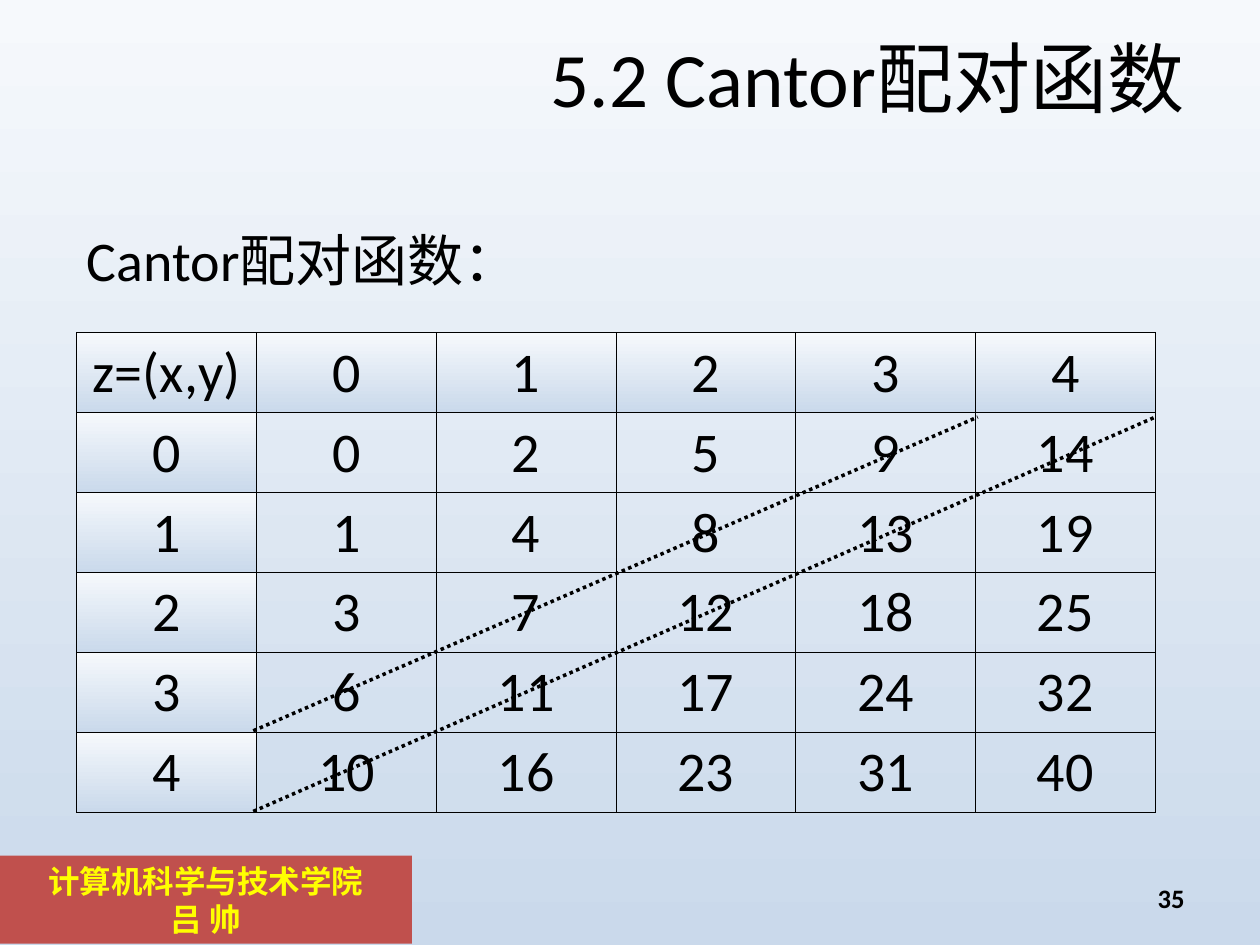
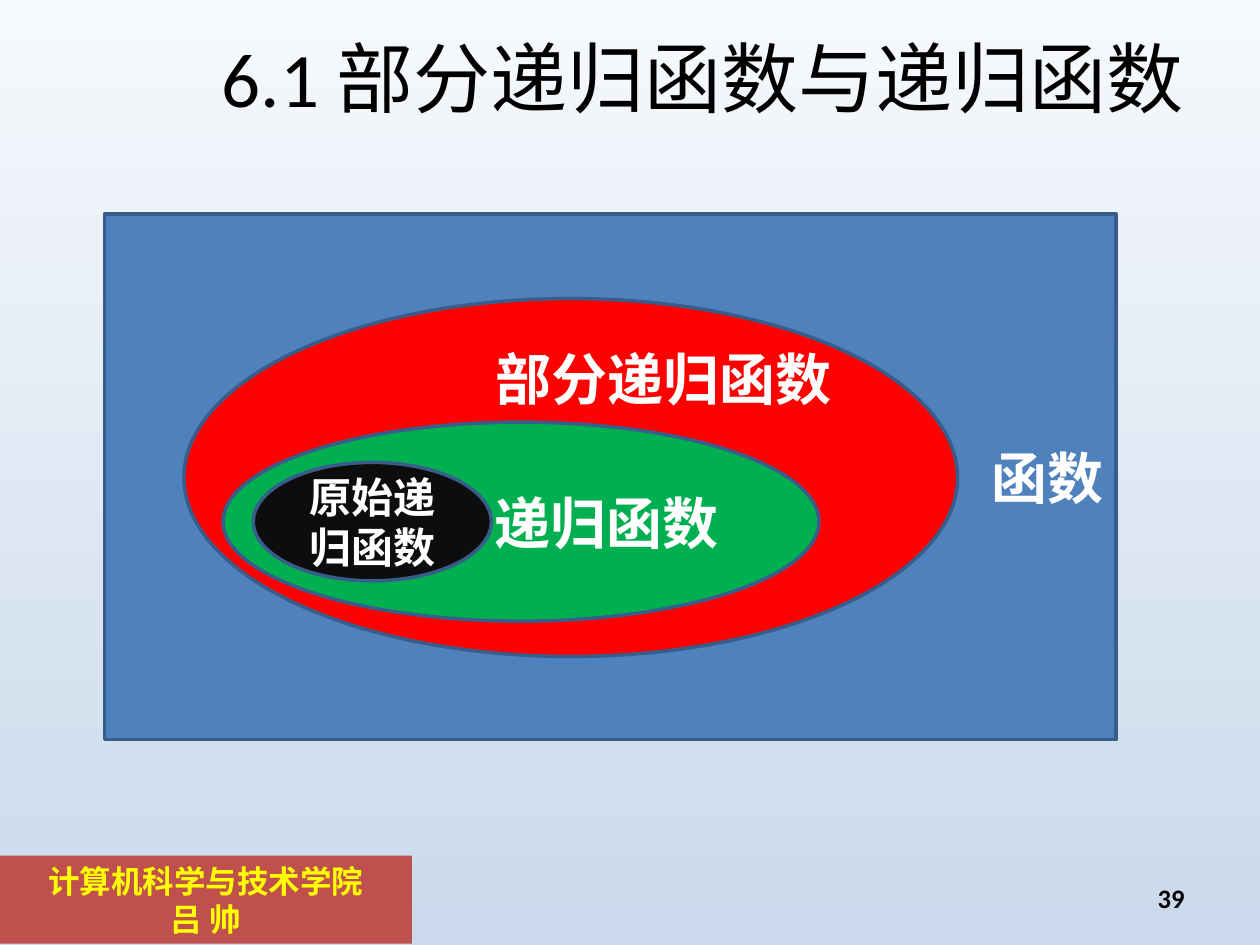
from lxml import etree
from pptx import Presentation
from pptx import util as u
from pptx.dml.color import RGBColor
from pptx.enum import dml, shapes, text
from pptx.oxml.ns import qn

COLOURS = {
    "pale": "F6F9FC", "sky": "CAD9EB", "band": "C0504D", "yellow": "FFFF00",
    "black": "000000", "white": "FFFFFF", "outline": "385D8A", "blue": "4F81BD",
    "red": "FF0000", "green": "00B050", "ink": "0D0D0D",
}
ALIGN, ANCHOR, SHAPE = text.PP_ALIGN, text.MSO_ANCHOR, shapes.MSO_SHAPE

# Text styles
TITLE = {"size": 44, "align": ALIGN.RIGHT}
BODY = {"size": 32}
CELL = {"size": 32, "align": ALIGN.CENTER}
NUMBER = {"size": 15.2, "bold": True, "align": ALIGN.RIGHT, "line_spacing": 0.8}
BAND = {"size": 18, "bold": True, "align": ALIGN.CENTER, "name": "Arial", "colour": "yellow"}
SET_LABEL = {"size": 32, "bold": True, "align": ALIGN.RIGHT, "colour": "white"}
CORE_LABEL = {**SET_LABEL, "size": 24, "align": ALIGN.CENTER}


def colour(name):
    return RGBColor.from_string(COLOURS[name])


def fill_gradient(fill):
    fill.gradient()
    fill.gradient_angle = 270
    for stop, name in zip(fill.gradient_stops, ("pale", "sky")):
        stop.color.rgb = colour(name)


def write(frame, lines, style, **frame_format):
    """Fill a text frame with one paragraph per line."""
    for key, value in {"word_wrap": True, **frame_format}.items():
        setattr(frame, key, value)
    for index, line in enumerate(lines):
        para = frame.paragraphs[0] if index == 0 else frame.add_paragraph()
        para.alignment = style.get("align", ALIGN.LEFT)
        para.line_spacing = style.get("line_spacing")
        span = para.add_run()
        span.text = line
        font = {"name": style.get("name", "Calibri"), "size": u.Pt(style["size"]),
                "bold": style.get("bold", False)}
        for key, value in font.items():
            setattr(span.font, key, value)
        span.font.color.rgb = colour(style.get("colour", "black"))


def add_text(page, place, line, style, anchor=ANCHOR.MIDDLE):
    box = page.shapes.add_textbox(*map(u.Inches, place))
    write(box.text_frame, [line], style, vertical_anchor=anchor)


def add_figure(page, kind, place, fill, lines, style, outline=None, **frame_format):
    figure = page.shapes.add_shape(kind, *map(u.Inches, place))
    figure.shadow.inherit = False
    figure.fill.solid()
    figure.fill.fore_color.rgb = colour(fill)
    if outline:
        figure.line.color.rgb = colour(outline)
        figure.line.width = u.Pt(2)
    else:
        figure.line.fill.background()
    write(figure.text_frame, lines, style, **frame_format)


def add_dotted_line(page, start, end):
    line = page.shapes.add_connector(shapes.MSO_CONNECTOR.STRAIGHT,
                                     *map(u.Inches, start + end))
    line.line.color.rgb = colour("black")
    line.line.width = u.Pt(2)
    line.line.dash_style = dml.MSO_LINE.ROUND_DOT
    etree.SubElement(line._element.spPr, qn("a:effectLst"))


def add_borders(cell):
    properties = cell._tc.get_or_add_tcPr()
    for side in ("lnL", "lnR", "lnT", "lnB"):
        border = etree.SubElement(properties, qn(f"a:{side}"), w=str(u.Pt(0.45)))
        solid = etree.SubElement(border, qn("a:solidFill"))
        etree.SubElement(solid, qn("a:srgbClr"), val=COLOURS["black"])


def add_grid(page, place, rows):
    """Table whose first row and first column are shaded headers."""
    table = page.shapes.add_table(len(rows), len(rows[0]), *map(u.Inches, place)).table
    table.first_row = table.horz_banding = False
    for r, row in enumerate(rows):
        for c, value in enumerate(row):
            cell = table.cell(r, c)
            add_borders(cell)
            if r == 0 or c == 0:
                fill_gradient(cell.fill)
            else:
                cell.fill.background()
            write(cell.text_frame, [str(value)], CELL)


def cantor(x, y):
    total = x + y
    return total * (total + 1) // 2 + y


def add_page(deck, title, number):
    """Page with background, band, title and page number."""
    page = deck.slides.add_slide(deck.slide_layouts[6])
    fill_gradient(page.background.fill)
    add_figure(page, SHAPE.RECTANGLE, (0, 6.79, 3.27, 0.7), "band",
               ["计算机科学与技术学院", "吕 帅"], BAND, vertical_anchor=ANCHOR.TOP)
    add_text(page, (0.5, 0.3, 9, 0.61), title, TITLE)
    add_text(page, (7.17, 6.95, 2.33, 0.4), str(number), NUMBER)
    return page


def add_pairing_page(deck):
    page = add_page(deck, "5.2 Cantor配对函数", 35)
    add_text(page, (0.59, 1.74, 9, 0.7), "Cantor配对函数：", BODY, ANCHOR.TOP)
    numbers = range(5)
    rows = [["z=(x,y)", *numbers]]
    rows += [[x, *(cantor(x, y) for y in numbers)] for x in numbers]
    add_grid(page, (0.61, 2.64, 8.56, 3.8), rows)
    # Diagonals along which the numbering runs
    add_dotted_line(page, (2.01, 6.44), (9.17, 3.31))
    add_dotted_line(page, (2.01, 5.8), (7.76, 3.31))


def add_function_sets_page(deck):
    page = add_page(deck, "6.1 部分递归函数与递归函数", 39)
    # Nested sets, outermost first; the bottom margin lifts a label
    nested_sets = [
        (SHAPE.RECTANGLE, (0.83, 1.7, 8.03, 4.17), "blue", "函数", SET_LABEL, 0.05),
        (SHAPE.OVAL, (1.46, 2.37, 6.14, 2.84), "red", "部分递归函数", SET_LABEL, 1.63),
        (SHAPE.OVAL, (1.77, 3.35, 4.73, 1.58), "green", "递归函数", SET_LABEL, 0.05),
        (SHAPE.OVAL, (2.01, 3.67, 1.89, 0.94), "ink", "原始递归函数", CORE_LABEL, 0.05),
    ]
    for kind, place, fill, label, style, bottom in nested_sets:
        add_figure(page, kind, place, fill, [label], style, "outline",
                   vertical_anchor=ANCHOR.MIDDLE, margin_bottom=u.Inches(bottom))


def main():
    deck = Presentation()
    deck.slide_width, deck.slide_height = u.Inches(10), u.Inches(7.5)
    add_pairing_page(deck)
    add_function_sets_page(deck)
    deck.save("out.pptx")


if __name__ == "__main__":
    main()
